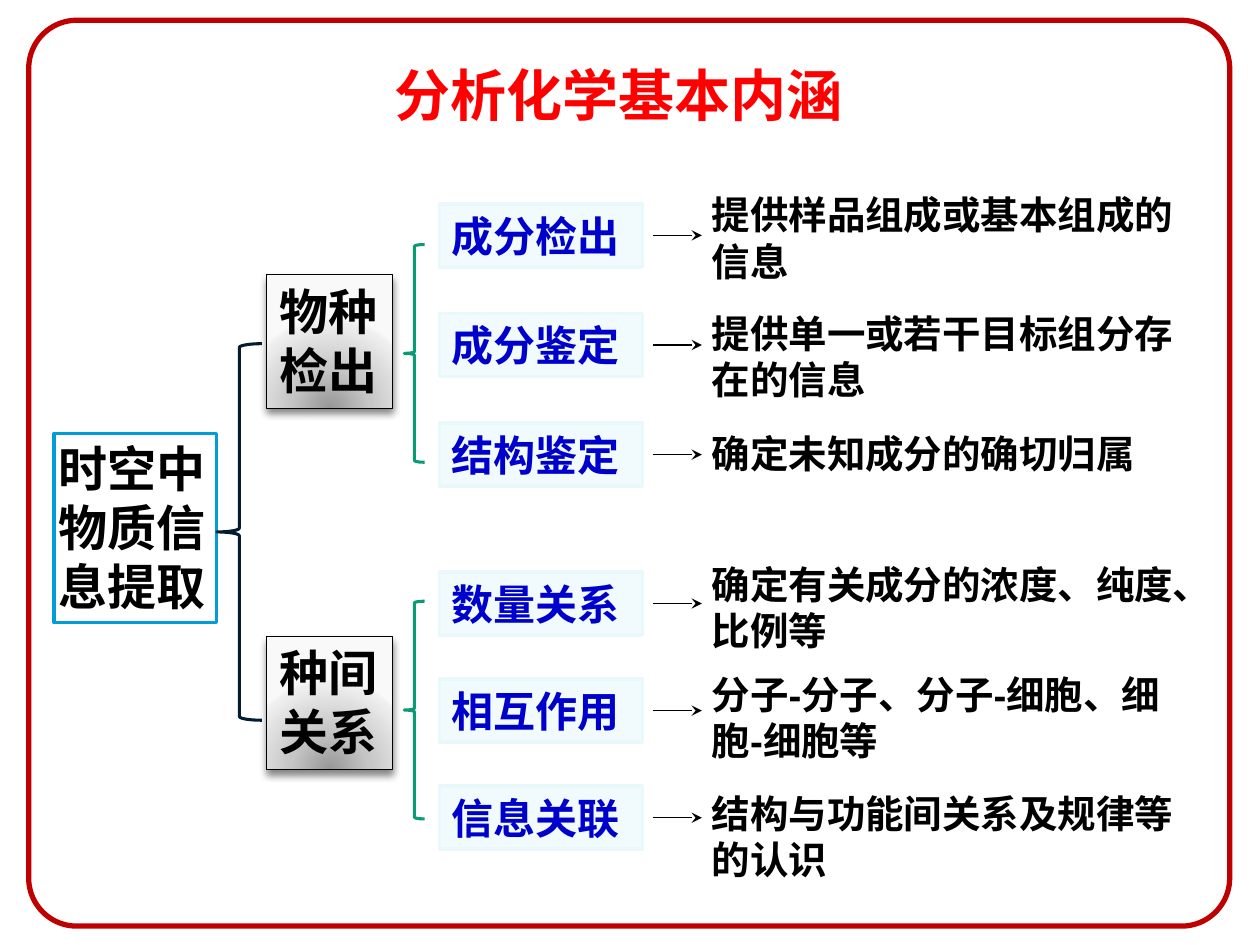
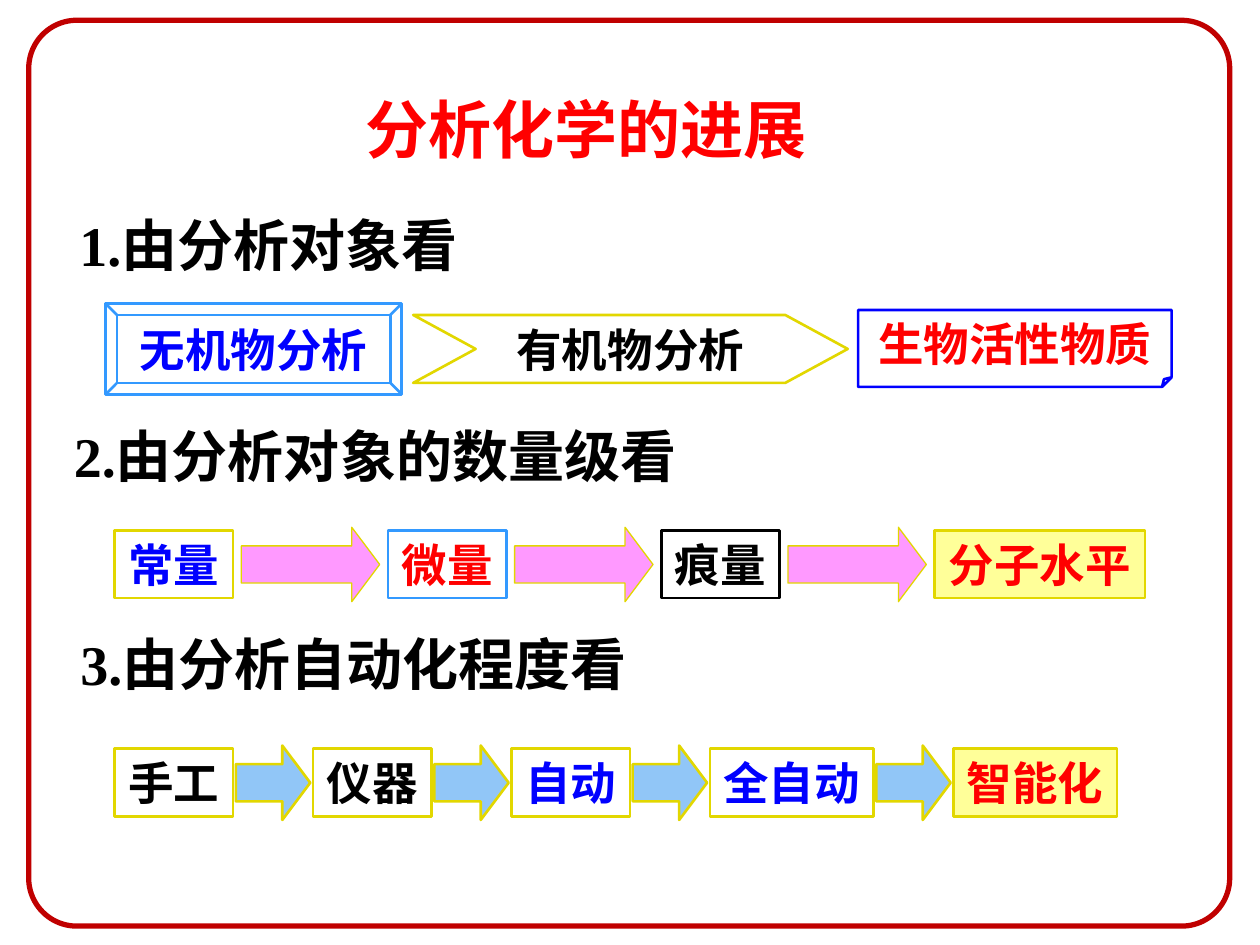
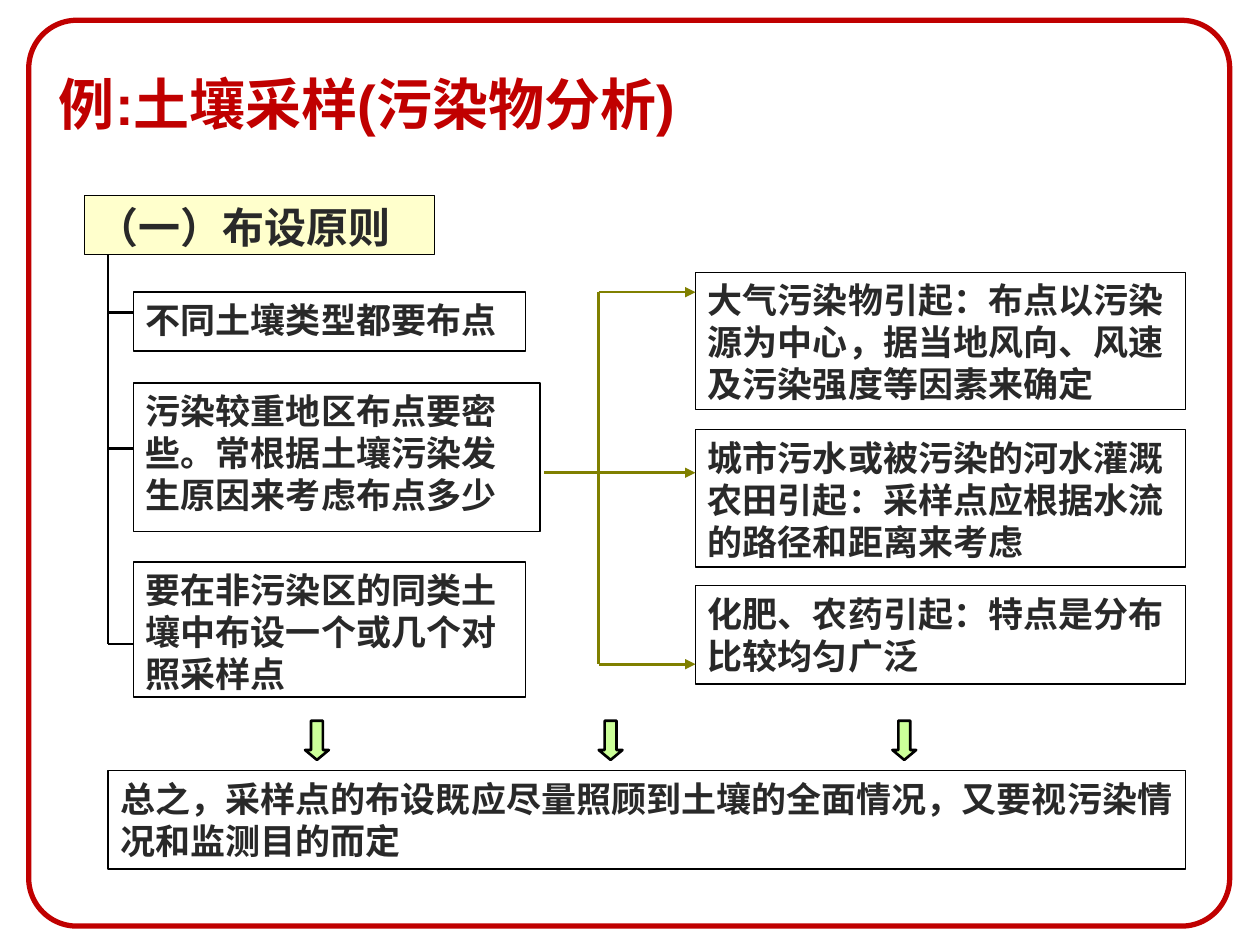
import typing

import lxml.etree
import pptx
import pptx.dml.color
import pptx.enum.shapes
import pptx.enum.text
import pptx.oxml
import pptx.oxml.ns
import pptx.util

Cm = pptx.util.Cm
Pt = pptx.util.Pt
RGBColor = pptx.dml.color.RGBColor
SHAPE = pptx.enum.shapes.MSO_SHAPE
ALIGN = pptx.enum.text.PP_ALIGN
ANCHOR = pptx.enum.text.MSO_ANCHOR
qn = pptx.oxml.ns.qn

BLACK = RGBColor(0x00, 0x00, 0x00)
WHITE = RGBColor(0xFF, 0xFF, 0xFF)
DARK_RED = RGBColor(0xC0, 0x00, 0x00)
RED = RGBColor(0xFF, 0x00, 0x00)
BLUE = RGBColor(0x00, 0x00, 0xFF)
TOPIC_BLUE = RGBColor(0x00, 0x00, 0xCC)
TOPIC_FILL = RGBColor(0xF1, 0xFB, 0xFD)
TOPIC_LINE = RGBColor(0xE9, 0xF9, 0xFB)
ROOT_LINE = RGBColor(0x00, 0x9D, 0xD9)
NAVY = RGBColor(0x04, 0x1C, 0x32)
GREEN = RGBColor(0x0A, 0x9B, 0x74)
SKY = RGBColor(0x33, 0x99, 0xFF)
GOLD = RGBColor(0xE2, 0xD7, 0x00)
YELLOW = RGBColor(0xFF, 0xFF, 0x99)
PINK = RGBColor(0xFF, 0x99, 0xFF)
PALE_BLUE = RGBColor(0x91, 0xC6, 0xF7)
CHARCOAL = RGBColor(0x29, 0x29, 0x29)
CREAM = RGBColor(0xFF, 0xFF, 0xCC)
OLIVE = RGBColor(0x80, 0x80, 0x00)
LIME = RGBColor(0xCC, 0xFF, 0x99)

CJK = "Noto Sans CJK SC"
ARIAL = "Arial"
TIMES = "Times New Roman"
SIDES = ("left", "top", "right", "bottom")
INSETS = (0.25, 0.13, 0.25, 0.13)
GRADIENT_STOPS = ((0, "979797"), (43, "C6C6C6"), (93, "EEEEEE"), (100, "F9F9F9"))


class Box(typing.NamedTuple):
    """A rectangle in centimetres."""
    left: float
    top: float
    width: float
    height: float

    def inner(self, left, top, width, height):
        """Return a box whose place is measured from this one's corner."""
        return Box(self.left + left, self.top + top, width, height)

    def lengths(self):
        return [Cm(value) for value in self]


def apply_format(target, values):
    for name, value in values.items():
        setattr(target, name, value)


def write_text(shape, text, size, color, font=CJK, align=ALIGN.LEFT,
               anchor=ANCHOR.TOP, wrap=True, insets=INSETS):
    frame = shape.text_frame
    apply_format(frame, {"word_wrap": wrap, "vertical_anchor": anchor})
    apply_format(frame, {f"margin_{side}": Cm(inset)
                         for side, inset in zip(SIDES, insets)})
    paragraph = frame.paragraphs[0]
    paragraph.alignment = align
    run = paragraph.add_run()
    run.text = text
    apply_format(run.font, {"name": font, "size": Pt(size), "bold": True})
    run.font.color.rgb = color
    east_asian = lxml.etree.SubElement(run._r.get_or_add_rPr(), qn("a:ea"))
    east_asian.set("typeface", CJK)


def add_text(slide, box, text, size, color, **style):
    write_text(slide.shapes.add_textbox(*box.lengths()), text, size, color, **style)


def set_adjustments(shape, values):
    """Write shape guides, also for presets whose guides python-pptx does not list."""
    geometry = shape._element.spPr.find(qn("a:prstGeom"))
    for child in list(geometry):
        geometry.remove(child)
    guides = lxml.etree.SubElement(geometry, qn("a:avLst"))
    for number, value in enumerate(values, start=1):
        guide = lxml.etree.SubElement(guides, qn("a:gd"))
        guide.set("name", "adj" if len(values) == 1 else f"adj{number}")
        guide.set("fmla", f"val {round(value * 100000)}")


def add_shape(slide, kind, box, line, weight, fill=None, adjustments=()):
    shape = slide.shapes.add_shape(kind, *box.lengths())
    shape.shadow.inherit = False
    shape.line.color.rgb = line
    shape.line.width = Pt(weight)
    if fill is None:
        shape.fill.background()
    else:
        shape.fill.solid()
        shape.fill.fore_color.rgb = fill
    if adjustments:
        set_adjustments(shape, adjustments)
    return shape


def add_line(slide, start, end, color, weight, head=None):
    points = [Cm(value) for value in (*start, *end)]
    connector = slide.shapes.add_connector(
        pptx.enum.shapes.MSO_CONNECTOR.STRAIGHT, *points)
    connector.line.color.rgb = color
    connector.line.width = Pt(weight)
    if head:
        tail = lxml.etree.SubElement(connector.line._get_or_add_ln(), qn("a:tailEnd"))
        tail.set("type", head)
    lxml.etree.SubElement(connector._element.spPr, qn("a:effectLst"))


def add_fork(slide, trunk_x, branch_ends, branch_x, color, head=None):
    """Draw a vertical trunk with one horizontal branch for each height."""
    top, bottom = branch_ends[0], branch_ends[-1]
    add_line(slide, (trunk_x, top), (trunk_x, bottom), color, 1.5)
    for height in branch_ends:
        add_line(slide, (trunk_x, height), (branch_x, height), color, 1.5, head)


def shade_node(shape):
    """Give a shape a grey radial gradient and a soft shadow below."""
    namespace = pptx.oxml.ns.nsdecls("a")
    stops = "".join(f'<a:gs pos="{position * 1000}"><a:srgbClr val="{color}"/></a:gs>'
                    for position, color in GRADIENT_STOPS)
    gradient = pptx.oxml.parse_xml(
        f'<a:gradFill {namespace} rotWithShape="1"><a:gsLst>{stops}</a:gsLst>'
        '<a:path path="circle"><a:fillToRect l="50000" t="130000" r="50000" b="-30000"/>'
        '</a:path></a:gradFill>')
    shadow = pptx.oxml.parse_xml(
        f'<a:outerShdw {namespace} blurRad="{Pt(4.5)}" dist="{Pt(3)}" dir="5400000" '
        'rotWithShape="0"><a:srgbClr val="000000"><a:alpha val="48000"/></a:srgbClr>'
        '</a:outerShdw>')
    properties = shape._element.spPr
    properties.replace(properties.find(qn("a:noFill")), gradient)
    properties.find(qn("a:effectLst")).append(shadow)


def new_slide(presentation):
    """Add a blank slide with the red rounded frame."""
    slide = presentation.slides.add_slide(presentation.slide_layouts[6])
    add_shape(slide, SHAPE.ROUNDED_RECTANGLE, Box(0.58, 0.41, 24.21, 18.26),
              DARK_RED, 3, adjustments=[0.053])
    return slide


def add_branch(slide, box, name, node_top, brace_top, rows):
    """Draw a shaded node, its brace and a row for each topic with its detail."""
    node = add_shape(slide, SHAPE.RECTANGLE, box.inner(0, node_top, 2.54, 2.69),
                     BLACK, 0.75)
    shade_node(node)
    write_text(node, name, 28, BLACK)
    add_shape(slide, SHAPE.LEFT_BRACE, box.inner(2.77, brace_top, 0.41, 4.39),
              GREEN, 1.75)
    topic_height = 1.27
    pitch = (box.height - topic_height) / (len(rows) - 1)
    for index, (topic, detail, rise) in enumerate(rows):
        row = box.inner(3.48, index * pitch, 4.09, topic_height)
        label = add_shape(slide, SHAPE.RECTANGLE, row, TOPIC_LINE, 2, TOPIC_FILL)
        write_text(label, topic, 24, TOPIC_BLUE, font="Karla")
        add_text(slide, row.inner(5.24, -rise, 10.21, 2.13), detail, 22, BLACK,
                 font=ARIAL)
        middle = row.top + topic_height / 2
        add_line(slide, (row.left + 4.3, middle), (row.left + 5.29, middle),
                 BLACK, 0.75, "stealth")


def build_content_slide(presentation):
    slide = new_slide(presentation)
    add_text(slide, Box(7.7, 1.09, 9.68, 1.63), "分析化学基本内涵", 32, RED, wrap=False)
    root = add_shape(slide, SHAPE.RECTANGLE, Box(1.09, 8.74, 3.28, 3.81),
                     ROOT_LINE, 2, WHITE)
    write_text(root, "时空中物质信息提取", 28, BLACK, insets=[0.1] * 4)
    add_shape(slide, SHAPE.LEFT_BRACE, Box(4.37, 6.93, 0.91, 7.59), NAVY, 1.75)
    add_branch(slide, Box(5.38, 4.11, 18.93, 5.69), "物种检出", 1.43, 0.82, [
        ("成分检出", "提供样品组成或基本组成的信息", 0.38),
        ("成分鉴定", "提供单一或若干目标组分存在的信息", 0.2),
        ("结构鉴定", "确定未知成分的确切归属", 0),
    ])
    add_branch(slide, Box(5.38, 11.53, 18.93, 5.59), "种间关系", 1.3, 0.59, [
        ("数量关系", "确定有关成分的浓度、纯度、比例等", 0.35),
        ("相互作用", "分子-分子、分子-细胞、细胞-细胞等", 0.3),
        ("信息关联", "结构与功能间关系及规律等的认识", 0.05),
    ])


def add_objects(slide, box):
    """Draw the three kinds of analysed object in a row."""
    objects = [
        (SHAPE.CHEVRON, (6.2, 0.23, 8.76, 1.37), GOLD, [0.919], "有机物分析", BLACK),
        (SHAPE.BEVEL, (0, 0, 5.97, 1.83), SKY, [0.125], "无机物分析", BLUE),
        (SHAPE.FOLDED_CORNER, (15.17, 0.13, 6.32, 1.55), BLUE, [0.125],
         "生物活性物质", RED),
    ]
    for kind, place, line, adjustments, text, color in objects:
        shape = add_shape(slide, kind, box.inner(*place), line, 1.5,
                          adjustments=adjustments)
        write_text(shape, text, 26, color, font=ARIAL, align=ALIGN.CENTER,
                   anchor=ANCHOR.MIDDLE)


def add_chain(slide, box, stages, gap, arrow_width, arrow_fill, arrow_weight, font):
    """Draw stages from left to right with a block arrow in each gap."""
    left = 0
    for index, (text, width, color, line, fill) in enumerate(stages):
        if index:
            arrow = box.inner(left - gap / 2 - arrow_width / 2, -0.06, arrow_width, 1.5)
            add_shape(slide, SHAPE.RIGHT_ARROW, arrow, GOLD, arrow_weight, arrow_fill,
                      [0.5, 0.375])
        stage = add_shape(slide, SHAPE.RECTANGLE, box.inner(left, 0, width, box.height),
                          line, 1.5, fill)
        write_text(stage, text, 26, color, font=font, align=ALIGN.CENTER,
                   anchor=ANCHOR.MIDDLE, wrap=False)
        left += width + gap


def build_progress_slide(presentation):
    slide = new_slide(presentation)
    add_text(slide, Box(7.11, 1.52, 13.41, 1.96), "分析化学的进展", 36, RED,
             font=ARIAL, anchor=ANCHOR.BOTTOM)
    headings = [
        (1.35, 4.11, "1.由分析对象看"),
        (1.24, 8.36, "2.由分析对象的数量级看"),
        (1.37, 12.57, "3.由分析自动化程度看"),
    ]
    for left, top, text in headings:
        add_text(slide, Box(left, top, 12.95, 1.63), text, 32, BLACK, font=TIMES,
                 wrap=False)
    add_objects(slide, Box(2.13, 6.12, 21.49, 1.83))
    add_chain(slide, Box(2.31, 10.69, 20.75, 1.37), [
        ("常量", 2.39, BLUE, GOLD, None),
        ("微量", 2.39, RED, SKY, None),
        ("痕量", 2.39, BLACK, BLACK, None),
        ("分子水平", 4.24, RED, GOLD, YELLOW),
    ], 3.12, 2.79, PINK, 0.75, CJK)
    add_chain(slide, Box(2.31, 15.09, 20.27, 1.37), [
        ("手工", 2.39, BLACK, GOLD, None),
        ("仪器", 2.39, BLACK, GOLD, None),
        ("自动", 2.39, BLUE, GOLD, None),
        ("全自动", 3.3, BLUE, GOLD, None),
        ("智能化", 3.3, RED, GOLD, YELLOW),
    ], 1.61, 1.5, PALE_BLUE, 1.5, TIMES)


def add_note(slide, box, text, size=20, fill=None):
    note = add_shape(slide, SHAPE.RECTANGLE, box, BLACK, 0.75, fill)
    write_text(note, text, size, CHARCOAL)


def add_principles(slide, box):
    """Draw the heading and the principles hanging from it."""
    add_note(slide, box.inner(0, 0, 7.06, 1.19), "（一）布设原则", 24, CREAM)
    principles = [
        (1.95, 7.9, 1.19, "不同土壤类型都要布点"),
        (3.78, 8.2, 3.0, "污染较重地区布点要密些。常根据土壤污染发生原因来考虑布点多少"),
        (7.39, 7.9, 2.72, "要在非污染区的同类土壤中布设一个或几个对照采样点"),
    ]
    for top, width, height, text in principles:
        add_note(slide, box.inner(0.99, top, width, height), text)
    trunk_x = box.left + 0.48
    add_line(slide, (trunk_x, box.top + 1.19), (trunk_x, box.top + 2.36), BLACK, 1.5)
    add_fork(slide, trunk_x, [box.top + drop for drop in (2.36, 5.1, 9.04)],
             box.left + 0.99, BLACK)


def add_causes(slide, box):
    """Draw the causes of pollution and the arrows that lead to them."""
    causes = [
        (0, 2.77, "大气污染物引起：布点以污染源为中心，据当地风向、风速及污染强度等因素来确定"),
        (3.17, 2.77, "城市污水或被污染的河水灌溉农田引起：采样点应根据水流的路径和距离来考虑"),
        (6.32, 1.98, "化肥、农药引起：特点是分布比较均匀广泛"),
    ]
    for top, height, text in causes:
        add_note(slide, box.inner(3.05, top, 9.88, height), text)
    trunk_x = box.left + 1.1
    heights = [box.top + drop for drop in (0.4, 4.04, 7.9)]
    add_line(slide, (box.left, heights[1]), (trunk_x, heights[1]), OLIVE, 1.5)
    add_fork(slide, trunk_x, heights, box.left + 3.05, OLIVE, "triangle")


def add_summary(slide, box):
    """Draw three arrows pointing down at the conclusion."""
    for index in range(3):
        add_shape(slide, SHAPE.DOWN_ARROW, box.inner(3.97 + index * 5.92, 0, 0.48, 0.79),
                  BLACK, 1.5, LIME, [0.5, 0.415])
    add_note(slide, box.inner(0, 1.01, box.width, 1.98),
             "总之，采样点的布设既应尽量照顾到土壤的全面情况，又要视污染情况和监测目的而定")


def build_sampling_slide(presentation):
    slide = new_slide(presentation)
    add_text(slide, Box(1.19, 1.19, 14.1, 1.57), "例:土壤采样(污染物分析)", 32, DARK_RED,
             font=ARIAL, anchor=ANCHOR.BOTTOM, insets=(0, 0.13, 0, 0))
    add_principles(slide, Box(1.7, 3.94, 9.19, 10.11))
    add_causes(slide, Box(10.97, 5.49, 12.93, 8.3))
    add_summary(slide, Box(2.18, 14.53, 21.72, 2.99))


def main():
    presentation = pptx.Presentation()
    apply_format(presentation, {"slide_width": Cm(25.4), "slide_height": Cm(19.05)})
    build_content_slide(presentation)
    build_progress_slide(presentation)
    build_sampling_slide(presentation)
    presentation.save("out.pptx")


if __name__ == "__main__":
    main()
